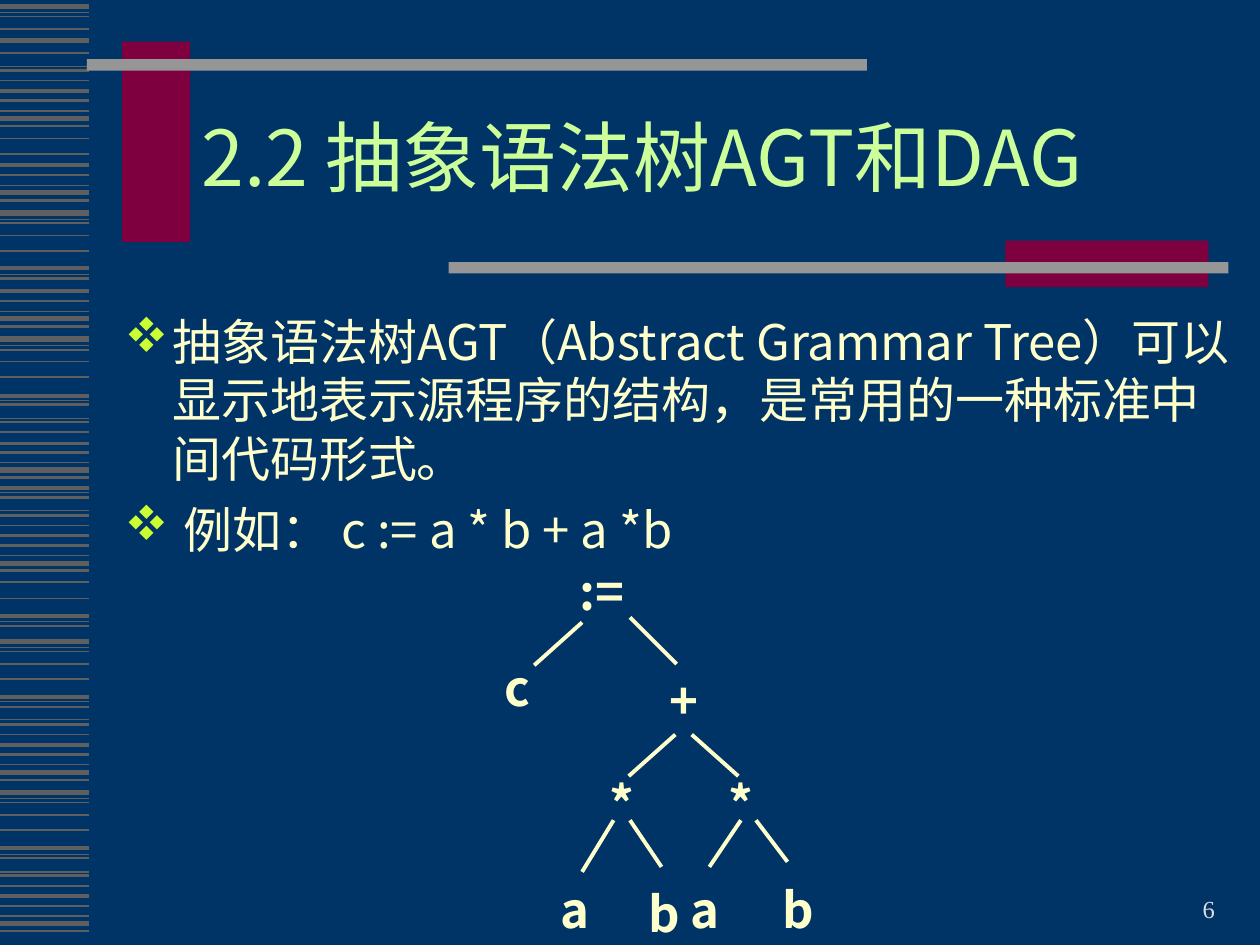
"""Build the slide on abstract syntax trees with its striped margin and expression tree."""
from lxml import etree
from pptx import Presentation
from pptx import util as u
from pptx.dml.color import RGBColor
from pptx.enum import shapes, text
from pptx.oxml.ns import qn

PX = 9144
SANS = "Noto Sans CJK SC"
CREAM = "FFFFCC"
hex_color = RGBColor.from_string


def add_line(x1, y1, x2, y2, color, width):
    line = slide.shapes.add_connector(
        shapes.MSO_CONNECTOR.STRAIGHT, x1 * PX, y1 * PX, x2 * PX, y2 * PX)
    line.line.color.rgb = hex_color(color)
    line.line.width = u.Pt(width)
    etree.SubElement(line._element.spPr, qn("a:effectLst"))


def add_text(box, lines, color, size, margins=(10, 5), face=SANS, bold=False,
             anchor=text.MSO_ANCHOR.TOP, **paragraph_format):
    shape = slide.shapes.add_textbox(*(value * PX for value in box))
    frame = shape.text_frame
    side, end = (margin * PX for margin in margins)
    frame_format = {"word_wrap": True, "vertical_anchor": anchor,
                    "margin_left": side, "margin_right": side,
                    "margin_top": end, "margin_bottom": end}
    for name, value in frame_format.items():
        setattr(frame, name, value)
    frame.text = "\n".join(lines)
    for paragraph in frame.paragraphs:
        for name, value in paragraph_format.items():
            setattr(paragraph, name, value)
        for run in paragraph.runs:
            for name, value in {"name": face, "size": u.Pt(size), "bold": bold}.items():
                setattr(run.font, name, value)
            run.font.color.rgb = hex_color(color)
            etree.SubElement(run.font._element, qn("a:ea"), typeface=face)
    return frame


presentation = Presentation()
presentation.slide_width, presentation.slide_height = 1000 * PX, 750 * PX
slide = presentation.slides.add_slide(presentation.slide_layouts[6])
slide.background.fill.solid()
slide.background.fill.fore_color.rgb = hex_color("003366")

stripes = {
    0.75: [10, 53, 88, 147, 174, 218, 247, 274, 318, 332, 367, 391, 405, 441, 493,
           514, 557, 571, 607, 634, 678, 692, 727],
    1: [13, 23, 64, 110, 122, 177, 187, 199, 278, 287, 299, 343, 417, 462, 475,
        517, 527, 539, 583, 637, 647, 659, 703],
    1.5: [42, 56, 80, 100, 139, 159, 221, 239, 259, 321, 335, 359, 379, 395, 409,
          433, 453, 497, 561, 575, 599, 619, 681, 695, 719, 739],
    2.25: [72, 131, 213, 231, 314, 352, 387, 425, 489, 553, 591, 673, 711],
    3: [5, 32, 94, 153, 169, 253, 269, 373, 447, 509, 613, 629, 733],
}
for width, heights in stripes.items():
    for y in heights:
        add_line(0, y, 71, y, "5F5F5F", width)

bars = [
    (97, 33, 54, 159, "7E003F"),
    (69, 47, 619, 9, "969696"),
    (798, 191, 161, 37, "7E003F"),
    (356, 208, 619, 9, "969696"),
]
for *box, color in bars:
    bar = slide.shapes.add_shape(
        shapes.MSO_SHAPE.RECTANGLE, *(value * PX for value in box))
    bar.shadow.inherit = False
    bar.fill.solid()
    bar.fill.fore_color.rgb = hex_color(color)
    bar.line.fill.background()

add_text((734, 688, 240, 50), ["6"], "DDDDDD", 14, face="Times New Roman",
         anchor=text.MSO_ANCHOR.BOTTOM, alignment=text.PP_ALIGN.RIGHT)
add_text((150, 67, 807, 125), ["2.2 抽象语法树AGT和DAG"], "CCFF99", 44,
         anchor=text.MSO_ANCHOR.MIDDLE, line_spacing=0.85)

body = add_text(
    (89, 242, 900, 424),
    ["抽象语法树AGT（Abstract Grammar Tree）可以显示地表示源程序的结构，是常用的一种标准中间代码形式。",
     "例如： c := a * b + a *b"],
    CREAM, 28)
body.paragraphs[1].space_before = u.Pt(7)
for paragraph, indent in zip(body.paragraphs, (38, 47)):
    properties = paragraph._p.get_or_add_pPr()
    properties.set("marL", str(indent * PX))
    properties.set("indent", str(-indent * PX))
    bullet_color = etree.SubElement(properties, qn("a:buClr"))
    etree.SubElement(bullet_color, qn("a:srgbClr"), val="CCFF33")
    etree.SubElement(properties, qn("a:buFont"), typeface="Wingdings", charset="2")
    etree.SubElement(properties, qn("a:buChar"), char="v")

nodes = [
    (":=", 460, 446), ("c", 400, 522), ("+", 531, 532), ("*", 484, 614), ("*", 578, 614),
    ("a", 445, 698), ("b", 515, 701), ("a", 548, 698), ("b", 621, 698),
]
for label, x, y in nodes:
    add_text((x, y, 57 if label == ":=" else 32, 35), [label], CREAM, 28,
             margins=(0, 0), bold=True, alignment=text.PP_ALIGN.JUSTIFY)

branches = [
    (462, 494, 424, 528), (500, 490, 537, 527), (536, 583, 499, 616), (549, 583, 586, 616),
    (487, 651, 462, 692), (500, 651, 525, 688), (588, 651, 563, 688), (600, 651, 625, 684),
]
for branch in branches:
    add_line(*branch, CREAM, 2.25)

presentation.save("out.pptx")
